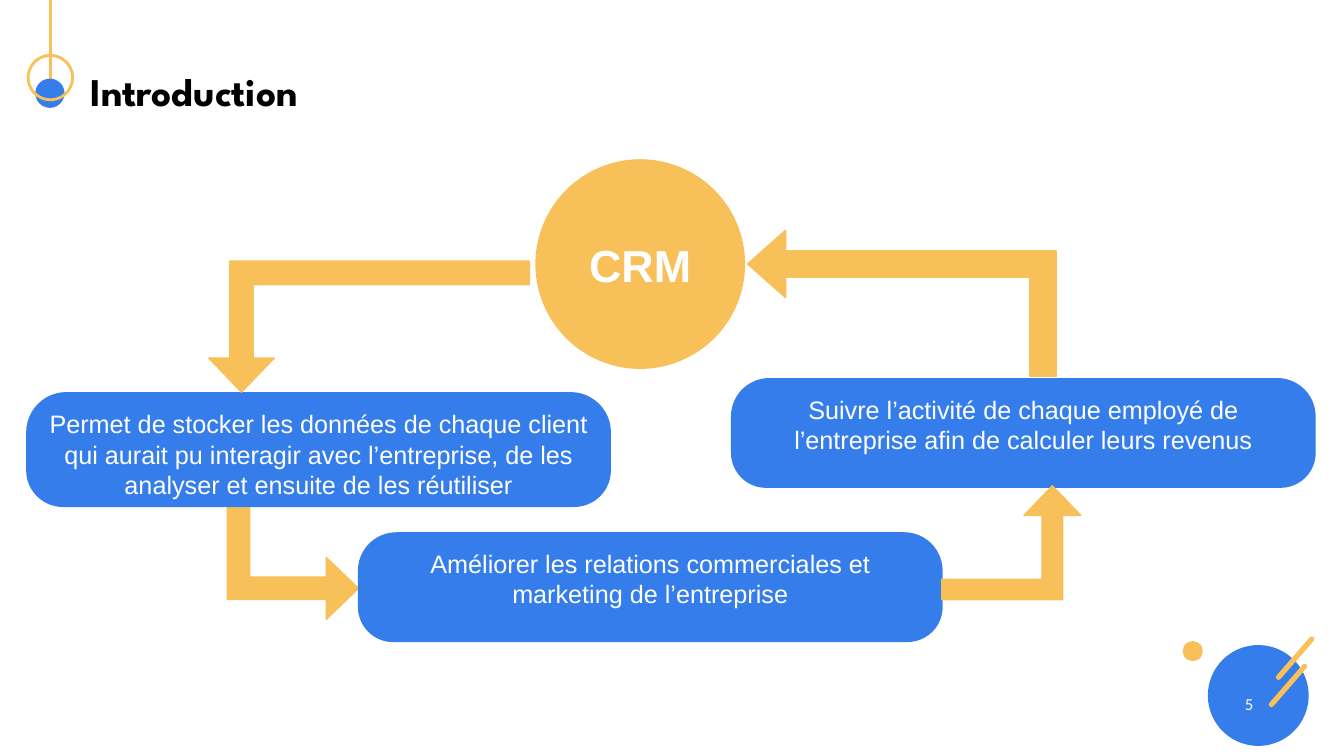
"""Build the CRM introduction slide: a cycle of three benefits joined by bent arrows."""
from pptx import Presentation
from pptx.dml.color import RGBColor
from pptx.enum.shapes import MSO_CONNECTOR, MSO_SHAPE as SHAPE
from pptx.enum.text import MSO_ANCHOR as ANCHOR, PP_ALIGN as ALIGN
from pptx.oxml.ns import qn
from pptx.util import Inches, Pt
from lxml import etree

BLUE, GOLD, WHITE, BLACK = "357DEA", "F7C059", "FFFFFF", "000000"
COLS, ROWS = 1333, 750

prs = Presentation()
prs.slide_width, prs.slide_height = Inches(13.33), Inches(7.5)
cw, rh = prs.slide_width / COLS, prs.slide_height / ROWS
s = prs.slides.add_slide(prs.slide_layouts[6])


def add(kind, box, fill=None, line=None, width=1, adj=(), rot=0):
    """Add a shape (or a text box when kind is None) at grid columns and rows."""
    x, y, w, h = box
    at = [int(v) for v in (x * cw, y * rh, w * cw, h * rh)]
    if kind is None:
        return s.shapes.add_textbox(*at)
    sp = s.shapes.add_shape(kind, *at)
    sp.shadow.inherit = False
    sp.rotation = rot
    for i, value in enumerate(adj):
        sp.adjustments[i] = value
    for part, color in ((sp.fill, fill), (sp.line.fill, line)):
        if color:
            part.solid()
            part.fore_color.rgb = RGBColor.from_string(color)
        else:
            part.background()
    if line:
        sp.line.width = Pt(width)
    return sp


def write(sp, text, size, font="Arial", color=WHITE, bold=False,
          align=ALIGN.CENTER, anchor=ANCHOR.MIDDLE):
    """Put one styled paragraph into a shape."""
    tf = sp.text_frame
    tf.word_wrap, tf.vertical_anchor = True, anchor
    p = tf.paragraphs[0]
    p.text, p.alignment = text, align
    f = p.font
    f.name, f.size, f.bold = font, Pt(size), bold
    f.color.rgb = RGBColor.from_string(color)
    return p


add(SHAPE.OVAL, (1198, 640, 100, 100), BLUE)
add(SHAPE.OVAL, (1173, 636, 20, 20), GOLD)
for x1, y1, x2, y2, width, cap in (
        (1301, 634, 1268, 672, 3.75, "rnd"),
        (1294, 661, 1261, 699, 3.75, "rnd"),
        (50, 0, 50, 78, 2, "flat")):
    c = s.shapes.add_connector(MSO_CONNECTOR.STRAIGHT, int(x1 * cw), int(y1 * rh),
                               int(x2 * cw), int(y2 * rh))
    c.line.color.rgb = RGBColor.from_string(GOLD)
    c.line.width = Pt(width)
    c.line._get_or_add_ln().set("cap", cap)
    etree.SubElement(c._element.spPr, qn("a:effectLst"))
add(SHAPE.OVAL, (35, 78, 29, 29), BLUE)
add(SHAPE.OVAL, (28, 55, 44, 44), line=GOLD, width=2)

title = write(add(None, (80, 51, 1173, 85)), "Introduction", 28, "League Spartan",
              BLACK, True, ALIGN.LEFT)
title.line_spacing = 0.9
write(add(None, (953, 678, 300, 40)), "5", 12, "Calibri", align=ALIGN.RIGHT)
write(add(SHAPE.OVAL, (531, 158, 208, 208), GOLD), "CRM", 32, bold=True)

benefits = (
    ((725, 375, 580, 109),
     "Suivre l’activité de chaque employé de l’entreprise afin de calculer leurs revenus"),
    ((355, 528, 580, 109),
     "Améliorer les relations commerciales et marketing de l’entreprise"),
    ((26, 389, 580, 114),
     "Permet de stocker les données de chaque client qui aurait pu interagir avec "
     "l’entreprise, de les analyser et ensuite de les réutiliser"),
)
arrows = (
    ((229, 488, 123, 130), 90, 0.25),
    ((934, 482, 138, 113), 0, 0.25),
    ((207, 259, 318, 130), 180, 0.25),
    ((822, 148, 145, 306), 270, 0.23),
)


def_arrow = arrows[0]
for box, rot, head in arrows[:1]:
    add(SHAPE.BENT_UP_ARROW, box, GOLD, GOLD, adj=(0.18, head, 0.26), rot=rot)
for box, text in benefits:
    sp = add(SHAPE.ROUND_2_SAME_RECTANGLE, box, BLUE, adj=(0.35, 0.32))
    write(sp, text, 18, anchor=ANCHOR.TOP)
for box, rot, head in arrows[1:]:
    add(SHAPE.BENT_UP_ARROW, box, GOLD, GOLD, adj=(0.18, head, 0.26), rot=rot)

prs.save("out.pptx")
